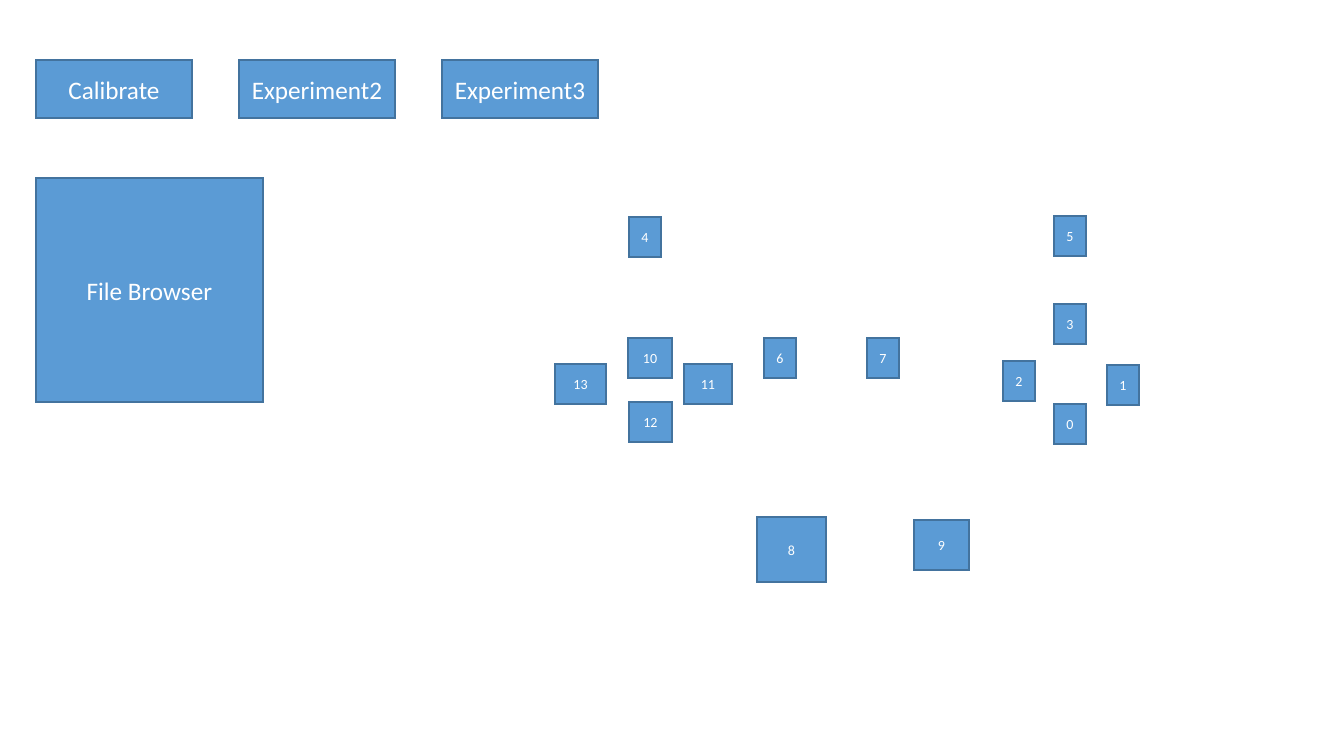
import dataclasses

import lxml.etree
import pptx
import pptx.dml.color
import pptx.enum.shapes
import pptx.enum.text
import pptx.oxml.ns
import pptx.util

EMU_PER_PIXEL = 914400 / 100.8


@dataclasses.dataclass(frozen=True)
class Theme:
    font: str = "Calibri"
    fill: str = "5B9BD5"
    outline: str = "43739E"
    text: str = "FFFFFF"
    outline_width: int = 1
    label_size: int = 18
    number_size: int = 10


THEME = Theme()

BUTTONS = ("Calibrate", "Experiment2", "Experiment3")
BUTTON_LEFT, BUTTON_TOP, BUTTON_STEP = 36, 60, 203
BUTTON_WIDTH, BUTTON_HEIGHT = 156, 58

KEY_WIDTH, KEY_HEIGHT = 32, 40
KEYS = (
    ("10", 628, 338, 44, KEY_HEIGHT),
    ("12", 629, 402, 43, KEY_HEIGHT),
    ("11", 684, 364, 48, KEY_HEIGHT),
    ("13", 555, 364, 51, KEY_HEIGHT),
    ("6", 764, 338, KEY_WIDTH, KEY_HEIGHT),
    ("7", 867, 338, KEY_WIDTH, KEY_HEIGHT),
    ("2", 1003, 361, KEY_WIDTH, KEY_HEIGHT),
    ("0", 1054, 404, KEY_WIDTH, KEY_HEIGHT),
    ("3", 1054, 304, KEY_WIDTH, KEY_HEIGHT),
    ("1", 1107, 365, KEY_WIDTH, KEY_HEIGHT),
    ("4", 629, 217, KEY_WIDTH, KEY_HEIGHT),
    ("5", 1054, 216, KEY_WIDTH, KEY_HEIGHT),
    ("8", 757, 517, 69, 65),
    ("9", 914, 520, 55, 50),
)


def pixels(value):
    return pptx.util.Emu(round(value * EMU_PER_PIXEL))


def color(value):
    return pptx.dml.color.RGBColor.from_string(value)


def write_text(shape, text, *, size, font=THEME.font, text_color=THEME.text):
    frame = shape.text_frame
    frame.word_wrap = True
    frame.vertical_anchor = pptx.enum.text.MSO_ANCHOR.MIDDLE
    paragraph = frame.paragraphs[0]
    paragraph.alignment = pptx.enum.text.PP_ALIGN.CENTER
    run = paragraph.add_run()
    run.text = text
    run.font.name = font
    run.font.size = pptx.util.Pt(size)
    run.font.color.rgb = color(text_color)


def set_outline(shape):
    shape.line.color.rgb = color(THEME.outline)
    shape.line.width = pptx.util.Pt(THEME.outline_width)
    outline = shape.element.spPr.find(pptx.oxml.ns.qn("a:ln"))
    lxml.etree.SubElement(outline, pptx.oxml.ns.qn("a:miter"), lim="800000")


def add_box(slide, text, left, top, width, height, *, size):
    shape = slide.shapes.add_shape(
        pptx.enum.shapes.MSO_SHAPE.RECTANGLE,
        *map(pixels, (left, top, width, height)),
    )
    shape.shadow.inherit = False
    shape.fill.solid()
    shape.fill.fore_color.rgb = color(THEME.fill)
    set_outline(shape)
    write_text(shape, text, size=size)


def add_buttons(slide):
    for index, text in enumerate(BUTTONS):
        left = BUTTON_LEFT + index * BUTTON_STEP
        add_box(slide, text, left, BUTTON_TOP, BUTTON_WIDTH, BUTTON_HEIGHT,
                size=THEME.label_size)


def add_keys(slide):
    for key in KEYS:
        add_box(slide, *key, size=THEME.number_size)


def main():
    presentation = pptx.Presentation()
    presentation.slide_width = pixels(1344)
    presentation.slide_height = pixels(756)
    slide = presentation.slides.add_slide(presentation.slide_layouts[6])
    add_buttons(slide)
    add_box(slide, "File Browser", BUTTON_LEFT, 178, 227, 224, size=THEME.label_size)
    add_keys(slide)
    presentation.save("out.pptx")


main()
